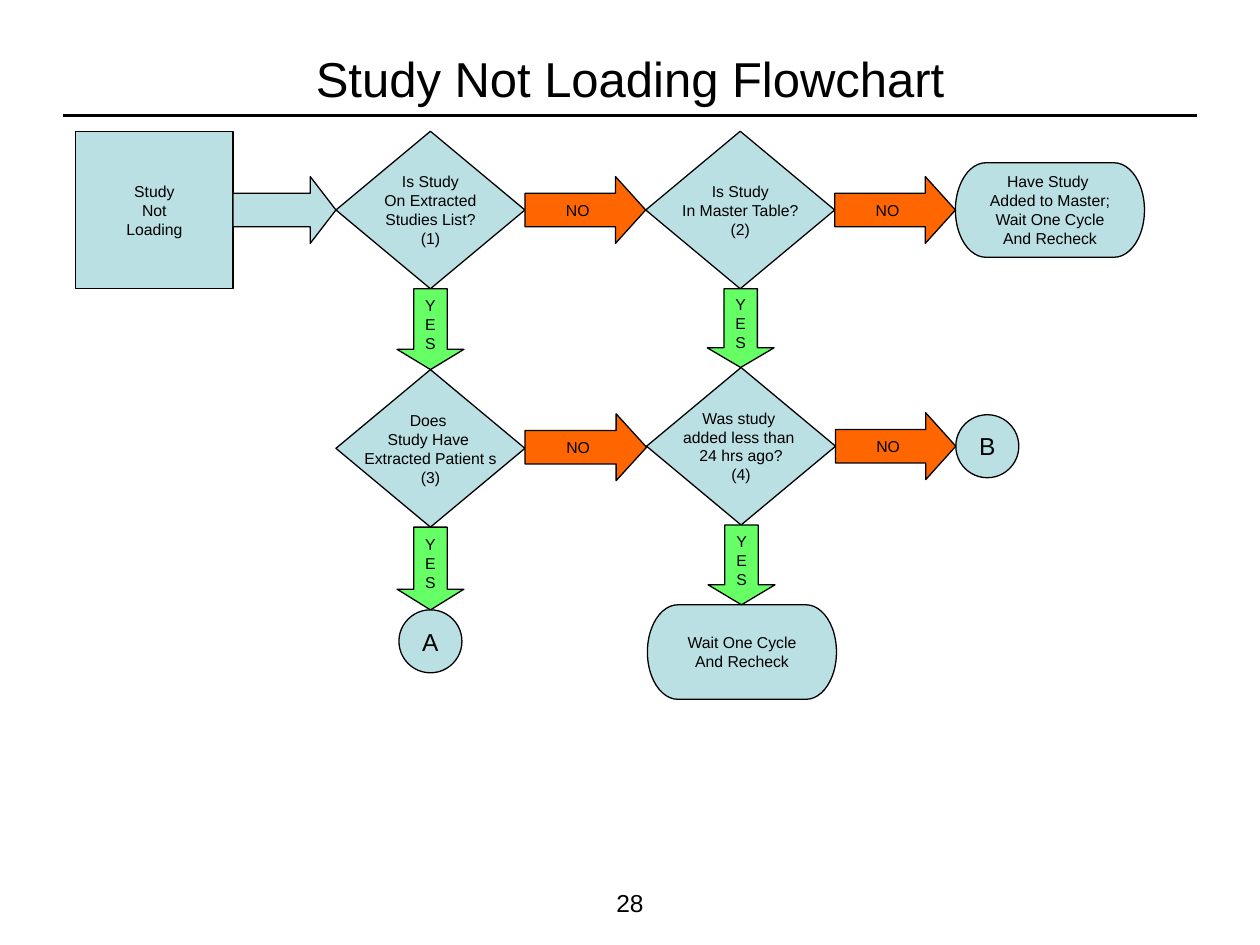
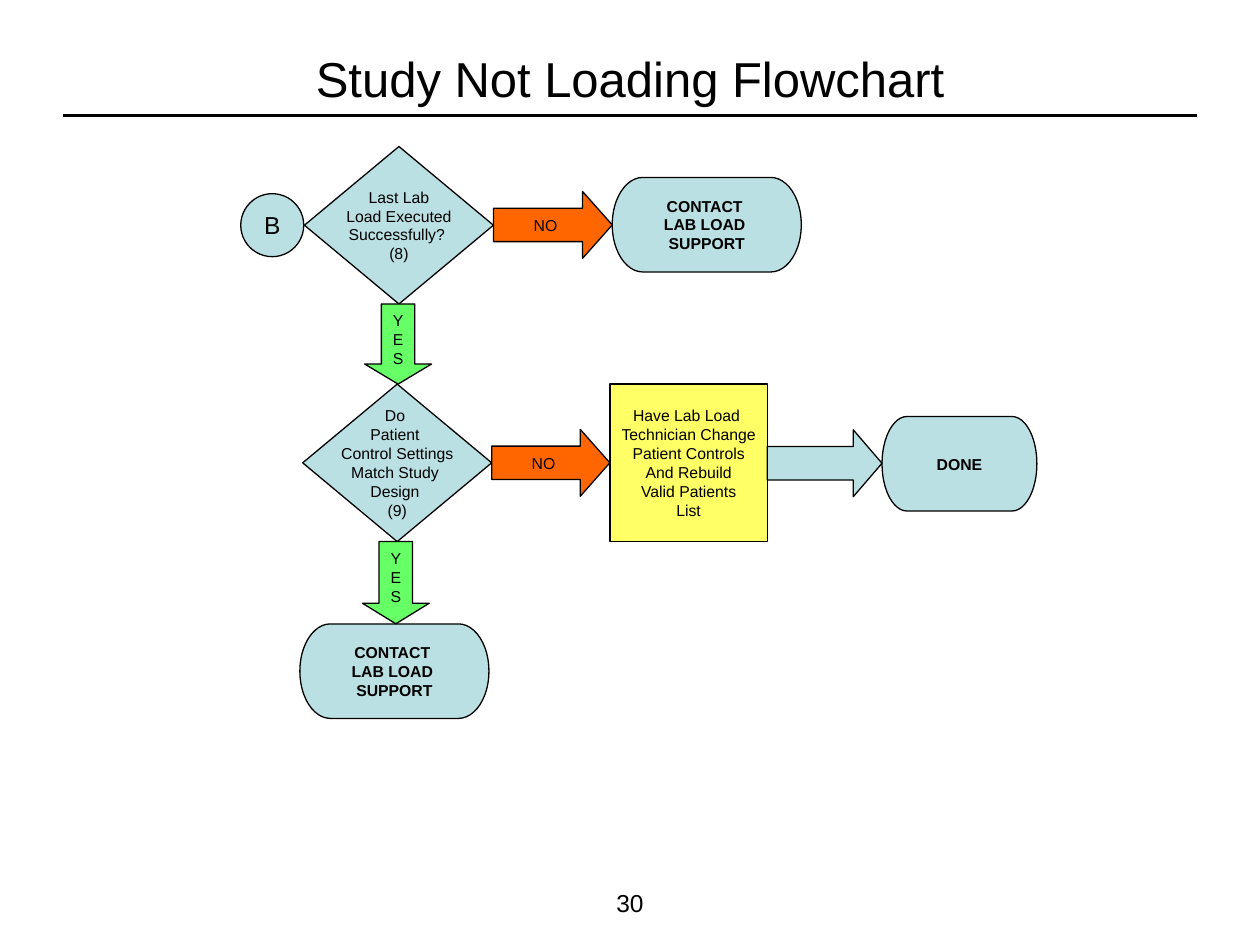
"""Build the two Study Not Loading flowchart slides."""
import pptx
import pptx.dml.color
import pptx.enum.shapes
import pptx.enum.text
import pptx.oxml.ns
import pptx.util
from lxml import etree

Pt = pptx.util.Pt
MSO = pptx.enum.shapes.MSO_SHAPE
ANCHOR = pptx.enum.text.MSO_ANCHOR

COLORS = {"ink": "000000", "step": "BBE0E3", "no": "FF6600", "yes": "66FF66", "fix": "FFFF66"}
FONT = "Arial"
TITLE = "Study Not Loading Flowchart"
ARROW_WIDTH = 38.2
HEAD_SHARE = 0.25

KINDS = {
    "process": (MSO.FLOWCHART_PROCESS, 90, 90),
    "decision": (MSO.FLOWCHART_DECISION, 108, 90),
    "link": (MSO.FLOWCHART_CONNECTOR, 36, 36),
    "end": (MSO.FLOWCHART_TERMINATOR, 108, 54),
    "done": (MSO.FLOWCHART_TERMINATOR, 88.5, 54),
}
ARROWS = {"next": ("step", ""), "no": ("no", "NO"), "yes": ("yes", "Y\nE\nS")}
CONTACT = "CONTACT \nLAB LOAD \nSUPPORT"

SLIDES = [
    {
        "page": "28",
        "nodes": {
            "start": ("process", 88.2, 120, "Study\nNot\nLoading", {}),
            "extracted": ("decision", 246, 120, "Is Study\nOn Extracted\nStudies List?\n(1)", {}),
            "table": ("decision", 423, 120, "Is Study\nIn Master Table?\n(2)", {}),
            "add": ("end", 600, 120,
                    "Have Study \nAdded to Master;\nWait One Cycle\nAnd Recheck", {}),
            "patients": ("decision", 246, 256.2, "Does \nStudy Have \nExtracted Patient s\n(3)", {}),
            "recent": ("decision", 423.5, 255,
                       "Was study \nadded less than \n24 hrs ago?\n(4)", {}),
            "B": ("link", 564.2, 255, "B", {"size": 14}),
            "A": ("link", 246, 366.5, "A", {"size": 14}),
            "wait": ("end", 424, 372.6, "Wait One Cycle\nAnd Recheck", {}),
        },
        "flows": [
            ("start", "extracted", "next"), ("extracted", "table", "no"), ("table", "add", "no"),
            ("extracted", "patients", "yes"), ("table", "recent", "yes"),
            ("patients", "recent", "no"), ("recent", "B", "no"),
            ("patients", "A", "yes"), ("recent", "wait", "yes"),
        ],
    },
    {
        "page": "30",
        "nodes": {
            "B": ("link", 155.6, 128.7, "B", {"size": 14}),
            "executed": ("decision", 228, 128.7,
                         "Last Lab\nLoad Executed\nSuccessfully? \n(8)", {}),
            "contact": ("end", 403.9, 128.4, CONTACT, {"bold": True}),
            "match": ("decision", 227, 264.5,
                      "Do \nPatient \nControl Settings\nMatch Study \nDesign \n(9)", {}),
            "rebuild": ("process", 393.5, 264.5,
                        "Have Lab Load \nTechnician Change\nPatient Controls\n"
                        "And Rebuild\nValid Patients\nList", {"fill": "fix"}),
            "done": ("done", 548.3, 265, "DONE", {"bold": True}),
            "support": ("end", 225.4, 383.5, CONTACT, {"bold": True}),
        },
        "flows": [
            ("executed", "contact", "no"), ("executed", "match", "yes"),
            ("match", "rebuild", "no"), ("rebuild", "done", "next"), ("match", "support", "yes"),
        ],
    },
]


def rgb(name):
    return pptx.dml.color.RGBColor.from_string(COLORS[name])


def write(sp, text, size=9, bold=False, anchor=ANCHOR.MIDDLE, wrap=False):
    tf = sp.text_frame
    tf.word_wrap = wrap
    tf.vertical_anchor = anchor
    tf.margin_left = tf.margin_right = Pt(7.2)
    tf.margin_top = tf.margin_bottom = Pt(3.6)
    for i, line in enumerate(text.split("\n")):
        p = tf.add_paragraph() if i else tf.paragraphs[0]
        p.alignment = pptx.enum.text.PP_ALIGN.CENTER
        r = p.add_run()
        r.text = line
        r.font.name, r.font.size, r.font.bold = FONT, Pt(size), bold
        r.font.color.rgb = rgb("ink")


def add_box(s, shape, cx, cy, w, h, fill, text, **style):
    sp = s.shapes.add_shape(shape, Pt(cx - w / 2), Pt(cy - h / 2), Pt(w), Pt(h))
    sp.shadow.inherit = False
    sp.fill.solid()
    sp.fill.fore_color.rgb = rgb(fill)
    sp.line.color.rgb = rgb("ink")
    sp.line.width = Pt(0.75)
    if text:
        write(sp, text, **style)
    return sp


def add_node(s, kind, cx, cy, text, style):
    shape, w, h = KINDS[kind]
    style = {"fill": "step", **style}
    add_box(s, shape, cx, cy, w, h, text=text, **style)


def add_flow(s, source, target, answer):
    """Fill the gap between two nodes with a block arrow."""
    fill, text = ARROWS[answer]
    (kind1, x1, y1, *_), (kind2, x2, y2, *_) = source, target
    _, w1, h1 = KINDS[kind1]
    _, w2, h2 = KINDS[kind2]
    if answer == "yes":
        top, bottom = y1 + h1 / 2, y2 - h2 / 2
        length = bottom - top
        sp = add_box(s, MSO.DOWN_ARROW, (x1 + x2) / 2, (top + bottom) / 2,
                     ARROW_WIDTH, length, fill, text)
    else:
        left, right = x1 + w1 / 2, x2 - w2 / 2
        length = right - left
        sp = add_box(s, MSO.RIGHT_ARROW, (left + right) / 2, (y1 + y2) / 2,
                     length, ARROW_WIDTH, fill, text)
    sp.adjustments[0] = 0.5
    sp.adjustments[1] = HEAD_SHARE * length / ARROW_WIDTH


def add_frame(s, page):
    """Add the title, its rule and the page number."""
    write(s.shapes.add_textbox(Pt(36), Pt(22), Pt(648), Pt(45)), TITLE, size=28, wrap=True)
    rule = s.shapes.add_connector(pptx.enum.shapes.MSO_CONNECTOR.STRAIGHT,
                                  Pt(36), Pt(66), Pt(684), Pt(66))
    rule.line.color.rgb = rgb("ink")
    rule.line.width = Pt(1.25)
    etree.SubElement(rule._element.spPr, pptx.oxml.ns.qn("a:effectLst"))
    write(s.shapes.add_textbox(Pt(276), Pt(504), Pt(168), Pt(25)), page,
          size=14, anchor=ANCHOR.TOP, wrap=True)


def main():
    prs = pptx.Presentation()
    prs.slide_width, prs.slide_height = Pt(720), Pt(540)
    for data in SLIDES:
        s = prs.slides.add_slide(prs.slide_layouts[6])
        add_frame(s, data["page"])
        nodes = data["nodes"]
        for node in nodes.values():
            add_node(s, *node)
        for source, target, answer in data["flows"]:
            add_flow(s, nodes[source], nodes[target], answer)
    prs.save("out.pptx")


if __name__ == "__main__":
    main()
